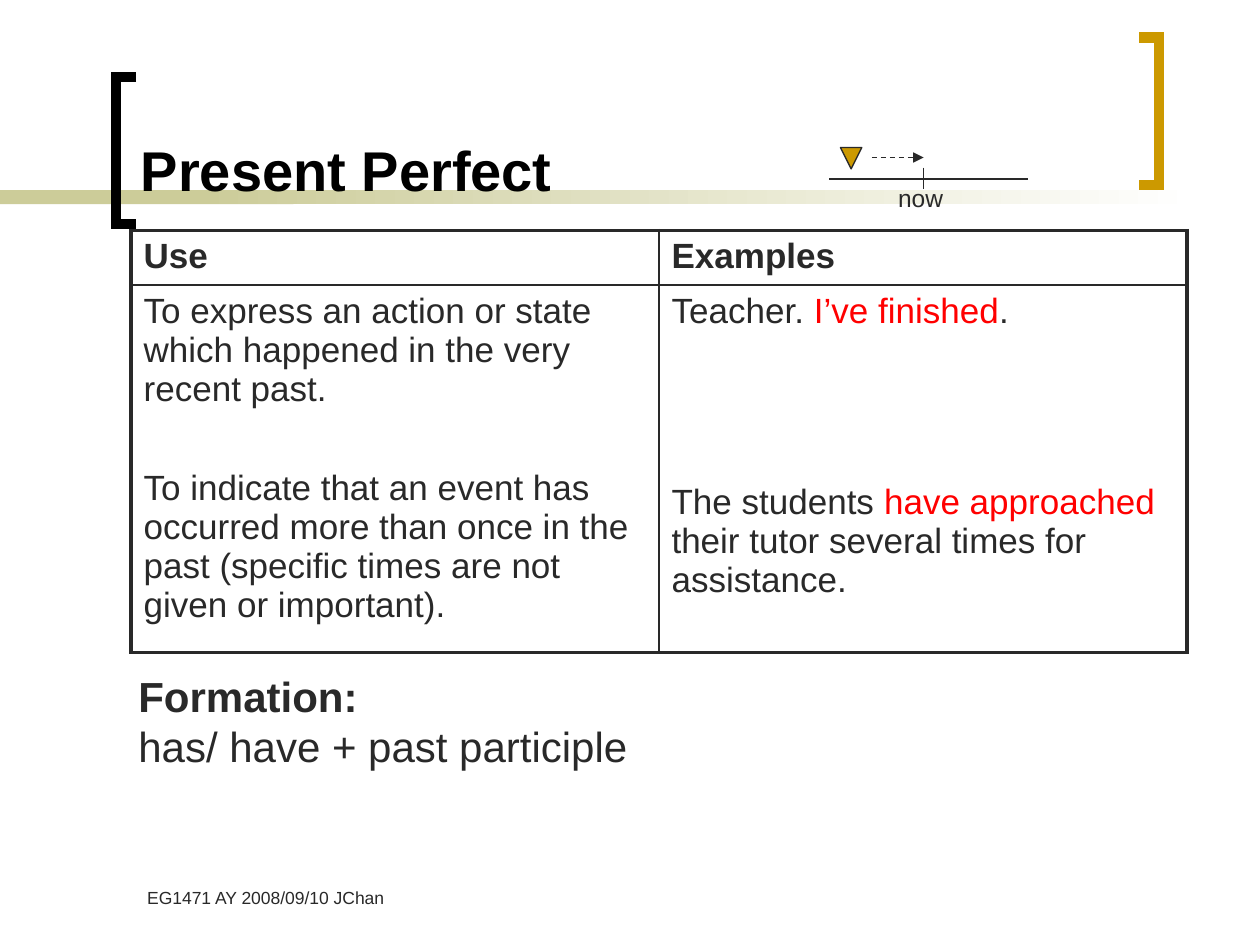
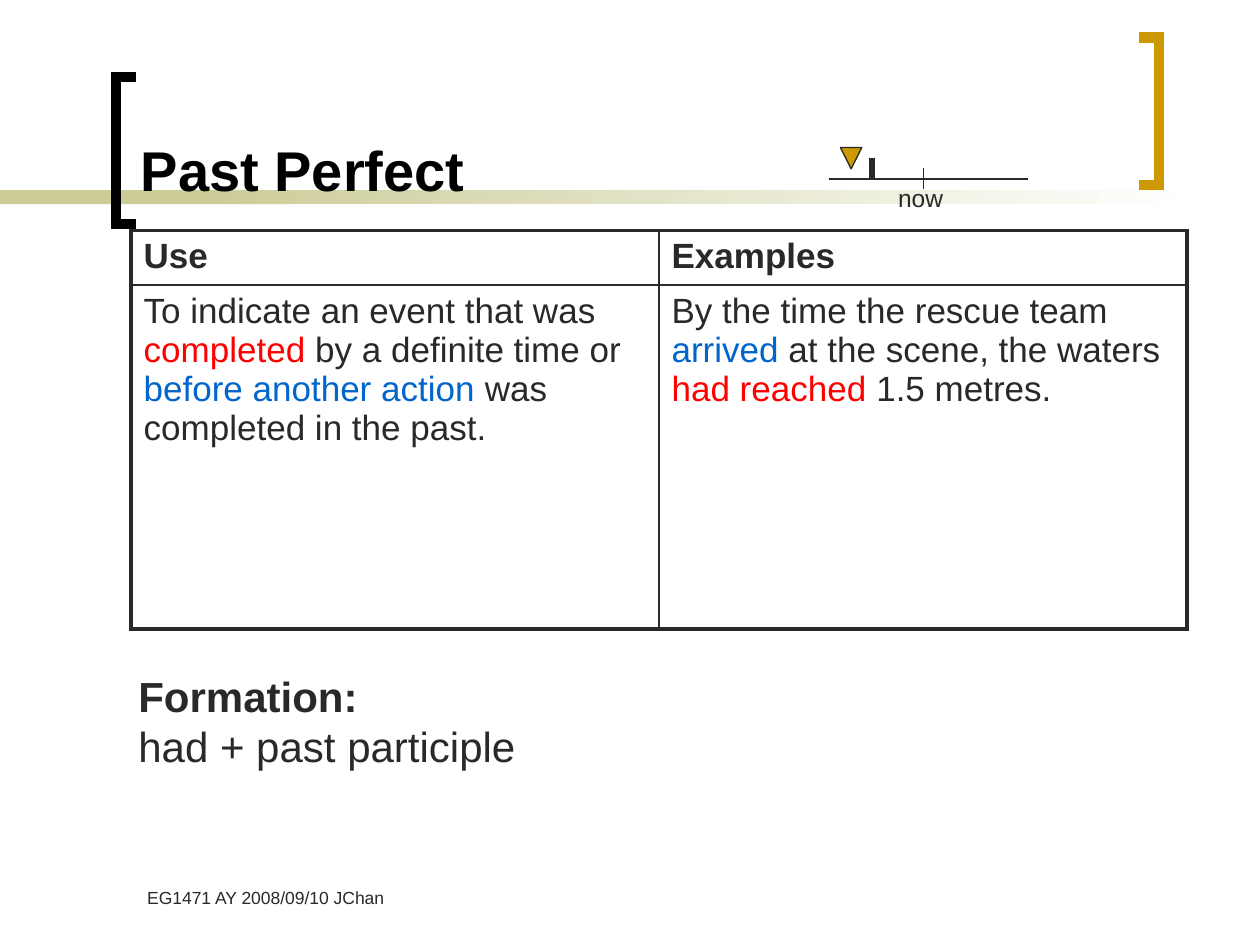
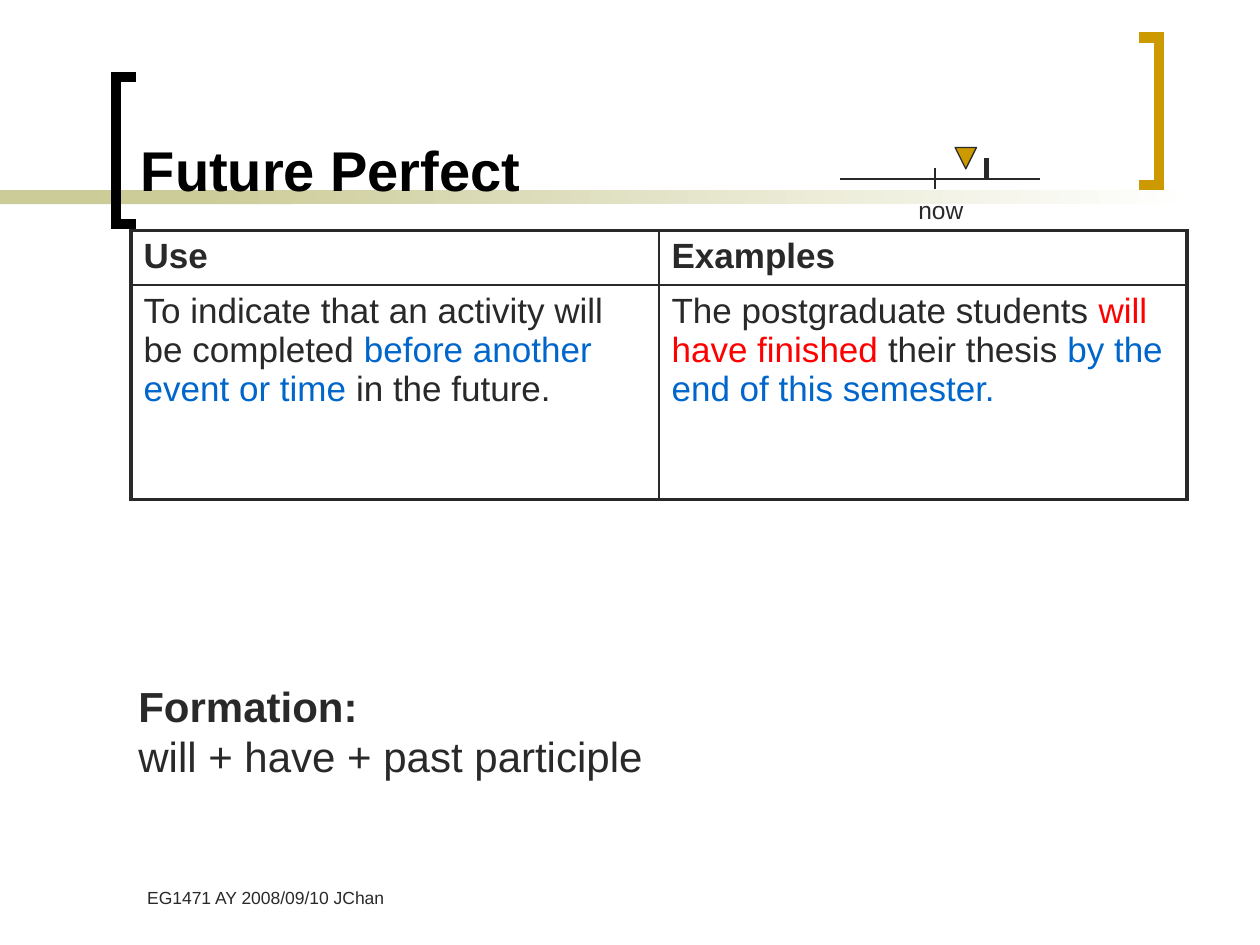
from lxml import etree
from pptx import Presentation
from pptx.dml.color import RGBColor
from pptx.enum.dml import MSO_LINE
from pptx.enum.shapes import MSO_CONNECTOR, MSO_SHAPE
from pptx.enum.text import MSO_ANCHOR
from pptx.oxml.ns import qn
from pptx.util import Inches, Pt

STRAIGHT = MSO_CONNECTOR.STRAIGHT
RECTANGLE = MSO_SHAPE.RECTANGLE
TRIANGLE = MSO_SHAPE.ISOSCELES_TRIANGLE
DASH = MSO_LINE.DASH
TOP, BOTTOM = MSO_ANCHOR.TOP, MSO_ANCHOR.BOTTOM

FONT = "Arial"
INK, BLACK, WHITE = "292929", "000000", "FFFFFF"
GOLD, SAND = "CC9900", "CCCC99"
RED, BLUE = "FF0000", "0066CC"
FOOTER = "EG1471 AY 2008/09/10 JChan"
COLUMN_WIDTH = 4.19
AXIS_Y, AXIS_LENGTH, NOW_OFFSET = 1.42, 1.58, 0.75
MARKER_Y, MARKER_SIZE = 1.17, 0.17

TENSES = [
    {
        "title": "Present Perfect",
        "uses": [
            ["To express an action or state which happened in the very recent past."],
            ["To indicate that an event has occurred more than once in the past "
             "(specific times are not given or important)."],
        ],
        "use_gap": 30.5,
        "examples": [
            ["Teacher. ", ("I’ve finished", RED), "."],
            ["The students ", ("have approached ", RED),
             "their tutor several times for assistance."],
        ],
        "example_gap": 83,
        "rows": (0.43, 2.73),
        "axis": 6.58, "now": (7.03, 1.4), "marker": 6.67, "arrow": True,
        "formation": "has/ have + past participle", "formation_top": 5.27,
    },
    {
        "title": "Past Perfect",
        "uses": [
            ["To indicate an event that was ", ("completed ", RED),
             "by a definite time or ", ("before another action ", BLUE),
             "was completed in the past."],
        ],
        "examples": [
            ["By the time the rescue team ", ("arrived", BLUE),
             " at the scene, the waters ", ("had reached ", RED), "1.5 metres."],
        ],
        "rows": (0.43, 2.73),
        "axis": 6.58, "now": (7.03, 1.4), "marker": 6.67, "arrow": False,
        "formation": "had + past participle", "formation_top": 5.27,
    },
    {
        "title": "Future Perfect",
        "uses": [
            ["To indicate that an activity will be completed ",
             ("before another event or time", BLUE), " in the future."],
        ],
        "examples": [
            ["The postgraduate students ", ("will have finished ", RED),
             "their thesis ", ("by the end of this semester.", BLUE)],
        ],
        "rows": (0.41, 1.7),
        "axis": 6.67, "now": (7.19, 1.5), "marker": 7.58, "arrow": False,
        "formation": "will + have + past participle", "formation_top": 5.35,
    },
]


def rgb(color):
    return RGBColor.from_string(color)


def write(frame, spans, size=20, bold=False, color=INK, before=0):
    para = frame.paragraphs[0]
    if para.runs:
        para = frame.add_paragraph()
    para.space_before = Pt(before)
    for part in spans:
        text, part_color = (part, color) if isinstance(part, str) else part
        span = para.add_run()
        span.text = text
        span.font.name = FONT
        span.font.size = Pt(size)
        span.font.bold = bold
        span.font.color.rgb = rgb(part_color)


def add_text_box(page, left, top, width, height, wrap=True, anchor=TOP):
    box = page.shapes.add_textbox(*map(Inches, (left, top, width, height)))
    box.text_frame.word_wrap = wrap
    box.text_frame.vertical_anchor = anchor
    return box.text_frame


def add_line(page, start, end, width=0.75, dashed=False, arrow=False):
    line = page.shapes.add_connector(STRAIGHT, *map(Inches, start + end))
    line.line.color.rgb = rgb(INK)
    line.line.width = Pt(width)
    if dashed:
        line.line.dash_style = DASH
    if arrow:
        outline = line.line._get_or_add_ln()
        etree.SubElement(outline, qn("a:tailEnd"), type="triangle")
    etree.SubElement(line._element.spPr, qn("a:effectLst"))


def add_shape(page, kind, left, top, width, height, fill, outline=None):
    shape = page.shapes.add_shape(kind, *map(Inches, (left, top, width, height)))
    shape.shadow.inherit = False
    if isinstance(fill, str):
        shape.fill.solid()
        shape.fill.fore_color.rgb = rgb(fill)
    else:
        shape.fill.gradient()
        shape.fill.gradient_angle = 0
        for stop, color in zip(shape.fill.gradient_stops, fill):
            stop.color.rgb = rgb(color)
    if outline:
        shape.line.color.rgb = rgb(outline)
        shape.line.width = Pt(0.75)
    else:
        shape.line.fill.background()
    return shape


def add_bracket(page, spine, tip, top, color):
    bottom = top + 1.17
    builder = page.shapes.build_freeform(Inches(tip), Inches(top))
    corners = [(spine, top), (spine, bottom), (tip, bottom)]
    builder.add_line_segments([(Inches(x), Inches(y)) for x, y in corners], close=False)
    bracket = builder.convert_to_shape()
    bracket.shadow.inherit = False
    bracket.fill.background()
    bracket.line.color.rgb = rgb(color)
    bracket.line.width = Pt(6)
    etree.SubElement(bracket.line._get_or_add_ln(), qn("a:miter"), lim="800000")


def add_frame(page, title):
    add_shape(page, RECTANGLE, 0, 1.51, 2.33, 0.11, SAND)
    add_shape(page, RECTANGLE, 1.58, 1.51, 7.92, 0.11, (SAND, WHITE))
    add_bracket(page, 0.92, 1.08, 0.61, BLACK)
    add_bracket(page, 9.2, 9.04, 0.3, GOLD)
    write(add_text_box(page, 1.07, 6.99, 2.3, 0.34), [FOOTER], size=10)
    heading = add_text_box(page, 1.02, 0.11, 7.83, 1.55, anchor=BOTTOM)
    write(heading, [title], size=32, bold=True, color=BLACK)


def set_borders(cell, widths):
    properties = cell._tc.get_or_add_tcPr()
    for side, width in widths.items():
        edge = etree.SubElement(properties, qn("a:ln" + side), w=str(Pt(width)))
        fill = etree.SubElement(edge, qn("a:solidFill"))
        etree.SubElement(fill, qn("a:srgbClr"), val=INK)
    cell.fill.background()


def add_use_table(page, tense):
    heights = tense["rows"]
    size = (2 * COLUMN_WIDTH, sum(heights))
    table = page.shapes.add_table(2, 2, *map(Inches, (1.04, 1.83) + size)).table
    table.first_row = table.horz_banding = False
    for row, height in zip(table.rows, heights):
        row.height = Inches(height)
    columns = [
        ("Use", tense["uses"], tense.get("use_gap", 0)),
        ("Examples", tense["examples"], tense.get("example_gap", 0)),
    ]
    for index, (heading, entries, gap) in enumerate(columns):
        table.columns[index].width = Inches(COLUMN_WIDTH)
        write(table.cell(0, index).text_frame, [heading], bold=True, before=4)
        for number, entry in enumerate(entries):
            before = 4 + gap if number else 4
            write(table.cell(1, index).text_frame, entry, before=before)
        for row in range(2):
            set_borders(table.cell(row, index), {
                "L": 1 if index else 2.25,
                "R": 2.25 if index else 1,
                "T": 1 if row else 2.25,
                "B": 2.25 if row else 1,
            })


def add_timeline(page, tense):
    axis, marker = tense["axis"], tense["marker"]
    now = axis + NOW_OFFSET
    add_line(page, (axis, AXIS_Y), (axis + AXIS_LENGTH, AXIS_Y))
    add_line(page, (now, 1.33), (now, 1.5))
    write(add_text_box(page, *tense["now"], 0.56, 0.33, wrap=False), ["now"], size=14)
    pointer = add_shape(page, TRIANGLE, marker, MARKER_Y, MARKER_SIZE, MARKER_SIZE,
                        GOLD, outline=INK)
    pointer.rotation = 180
    event = (marker + 0.25, 1.25)
    if tense["arrow"]:
        add_line(page, event, (now, 1.25), dashed=True, arrow=True)
    else:
        add_line(page, event, (event[0], AXIS_Y), width=3)


def add_formation(page, tense):
    frame = add_text_box(page, 1, tense["formation_top"], 7.83, 0.9)
    write(frame, ["Formation:"], size=24, bold=True)
    write(frame, [tense["formation"]], size=24)


def main():
    deck = Presentation()
    deck.slide_width, deck.slide_height = Inches(10), Inches(7.5)
    for tense in TENSES:
        page = deck.slides.add_slide(deck.slide_layouts[6])
        add_frame(page, tense["title"])
        add_use_table(page, tense)
        add_timeline(page, tense)
        add_formation(page, tense)
    deck.save("out.pptx")


if __name__ == "__main__":
    main()
